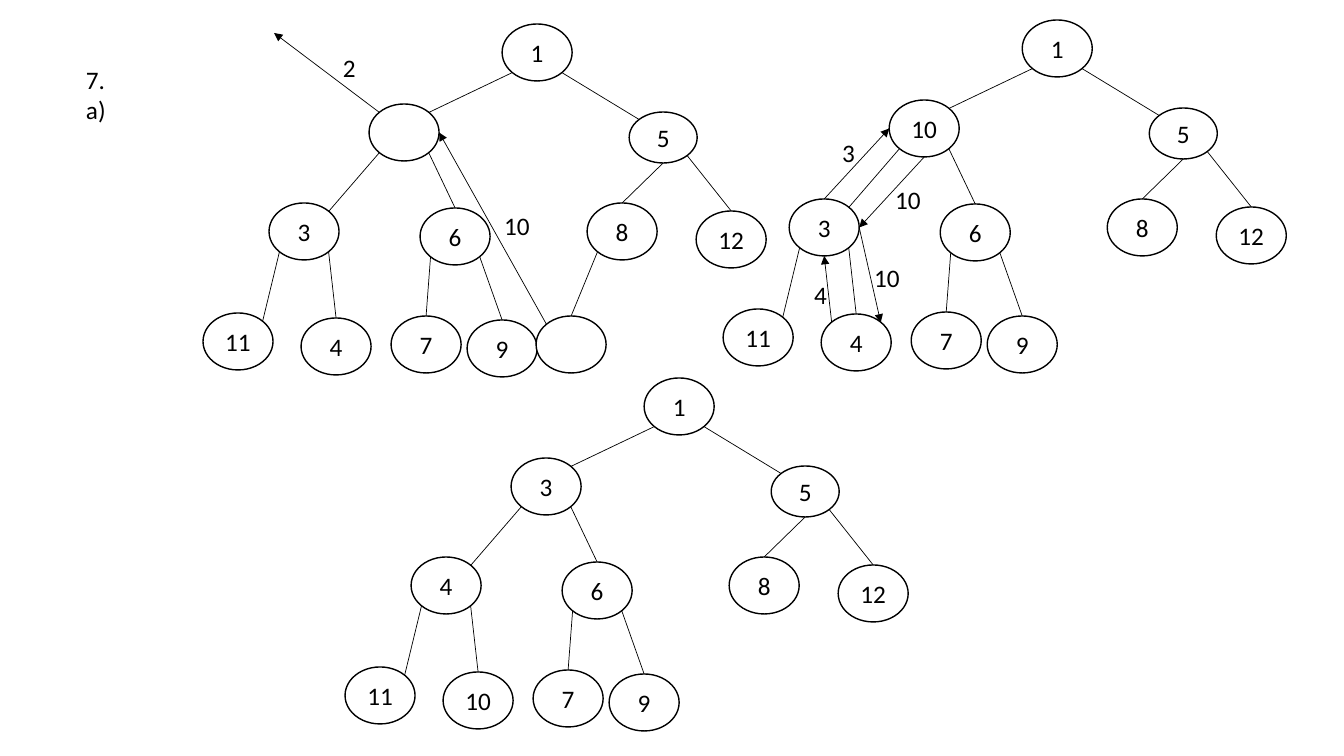
from pptx import Presentation
from pptx.dml.color import RGBColor
from pptx.enum.shapes import MSO_CONNECTOR, MSO_SHAPE
from pptx.enum.text import MSO_ANCHOR, PP_ALIGN
from pptx.util import Emu, Inches, Pt
from lxml.etree import SubElement
from pptx.oxml.ns import qn

SCALE = 914400 / 100.8
BLACK, WHITE = "000000", "FFFFFF"

# Tree position -> left, top, measured from the root
PLACES = {
    "root": (0, 0),
    "L": (-133, 80), "R": (127, 88),
    "LL": (-233, 179), "LR": (-82, 184), "RL": (85, 179), "RR": (194, 187),
    "LLL": (-299, 289), "LLR": (-201, 294), "LRL": (-111, 292),
    "LRR": (-35, 296), "RLL": (34, 292),
}
NODE = (70, 57)
SIZES = {"R": (68, 51)}

# Points on an ellipse, as fractions of its box
SITES = {
    "top": (0.5, 0), "bottom": (0.5, 1), "left": (0, 0.5), "right": (1, 0.5),
    "tl": (0.15, 0.15), "tr": (0.85, 0.15),
    "bl": (0.15, 0.85), "br": (0.85, 0.85),
}

# Parent, its site, child, its site
EDGES = [
    ("root", "bl", "L", "tr"), ("root", "br", "R", "tl"),
    ("L", "bl", "LL", "tr"), ("L", "br", "LR", "top"),
    ("R", "bottom", "RL", "top"), ("R", "br", "RR", "top"),
    ("LL", "bl", "LLL", "tr"), ("LL", "br", "LLR", "top"),
    ("LR", "bl", "LRL", "top"), ("LR", "br", "LRR", "top"),
    ("RL", "bl", "RLL", "top"),
]

KEYS = ["root", "L", "R", "LL", "LR", "RL", "RR", "LLL", "LLR", "LRL", "LRR"]
FIRST = dict(zip(KEYS + ["RLL"],
                 ["1", "", "5", "3", "6", "8", "12", "11", "4", "7", "9", ""]))
SECOND = dict(zip(KEYS, ["1", "10", "5", "3", "6", "8", "12", "11", "4", "7", "9"]))
THIRD = dict(zip(KEYS, ["1", "3", "5", "4", "6", "8", "12", "11", "10", "7", "9"]))

# Moves of keys in the second tree
SWAPS = [
    ("LL", "top", "L", "left"), ("LLR", "tl", "LL", "bottom"),
    ("L", "bottom", "LL", "right"), ("LL", "right", "LLR", "tr"),
]

# Text, left, top, width, height
LABELS = [
    ("7. a)", 76, 59, 54, 72), ("2", 333, 47, 35, 40), ("10", 494, 205, 46, 40),
    ("10", 885, 179, 46, 40), ("10", 864, 257, 46, 40),
    ("3", 832, 132, 46, 40), ("4", 804, 274, 46, 40),
]


def px(num):
    return Emu(round(num * SCALE))


def color(code):
    return RGBColor.from_string(code)


def write(frame, text):
    run = frame.paragraphs[0].add_run()
    run.text = text
    run.font.name = "Calibri"
    run.font.size = Pt(18)
    run.font.color.rgb = color(BLACK)


def node(slide, box, text):
    oval = slide.shapes.add_shape(MSO_SHAPE.OVAL, *map(px, box))
    oval.shadow.inherit = False
    oval.fill.solid()
    oval.fill.fore_color.rgb = color(WHITE)
    oval.line.color.rgb = color(BLACK)
    oval.line.width = Pt(1)
    if text:
        frame = oval.text_frame
        frame.vertical_anchor = MSO_ANCHOR.MIDDLE
        frame.paragraphs[0].alignment = PP_ALIGN.CENTER
        write(frame, text)


def link(slide, start, end, arrow=False):
    line = slide.shapes.add_connector(
        MSO_CONNECTOR.STRAIGHT, *map(px, (*start, *end)))
    line.line.color.rgb = color(BLACK)
    line.line.width = Pt(0.5)
    props = line._element.spPr
    if arrow:
        SubElement(props.find(qn("a:ln")), qn("a:tailEnd"), type="triangle")
    SubElement(props, qn("a:effectLst"))


def label(slide, text, *box):
    frame = slide.shapes.add_textbox(*map(px, box)).text_frame
    frame.word_wrap = True
    write(frame, text)


def site(boxes, key, name):
    left, top, width, height = boxes[key]
    across, down = SITES[name]
    return left + across * width, top + down * height


def tree(slide, left, top, keys):
    """Draw the nodes and edges, and return the node boxes."""
    boxes = {}
    for key, text in keys.items():
        across, down = PLACES[key]
        boxes[key] = (left + across, top + down, *SIZES.get(key, NODE))
        node(slide, boxes[key], text)
    for head, out, child, into in EDGES:
        if child in keys:
            link(slide, site(boxes, head, out), site(boxes, child, into))
    return boxes


def main():
    deck = Presentation()
    deck.slide_width, deck.slide_height = Inches(13.33), Inches(7.5)
    slide = deck.slides.add_slide(deck.slide_layouts[6])

    # Three states of the heap
    first = tree(slide, 502, 24, FIRST)
    second = tree(slide, 1022, 20, SECOND)
    tree(slide, 644, 378, THIRD)

    # The minimum leaves, and the last key takes its place
    link(slide, site(first, "L", "tl"), (274, 33), True)
    link(slide, site(first, "RLL", "tl"), site(first, "L", "right"), True)

    # Swaps down the second tree
    for here, out, there, into in SWAPS:
        link(slide, site(second, here, out), site(second, there, into), True)

    for item in LABELS:
        label(slide, *item)
    deck.save("out.pptx")


main()
